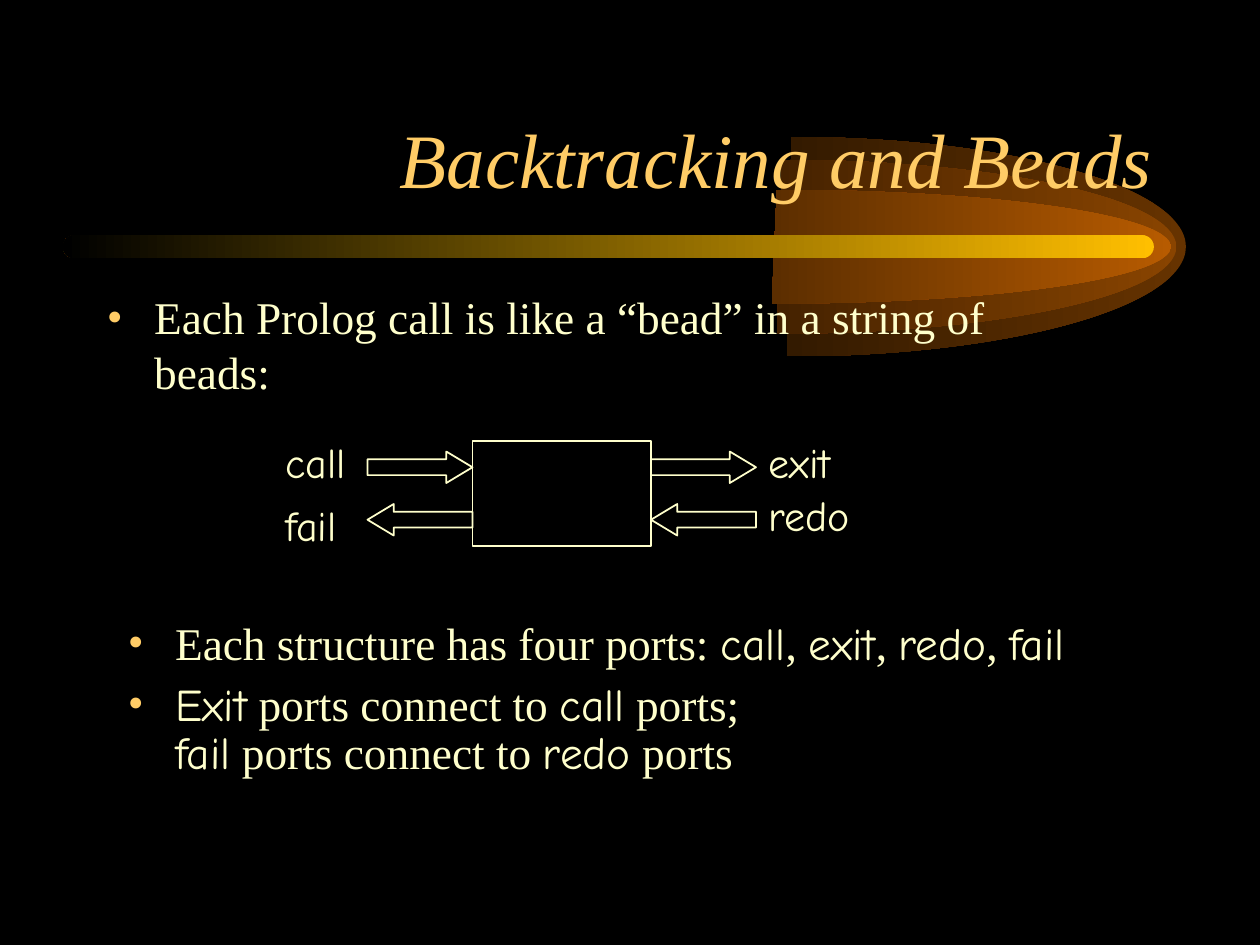
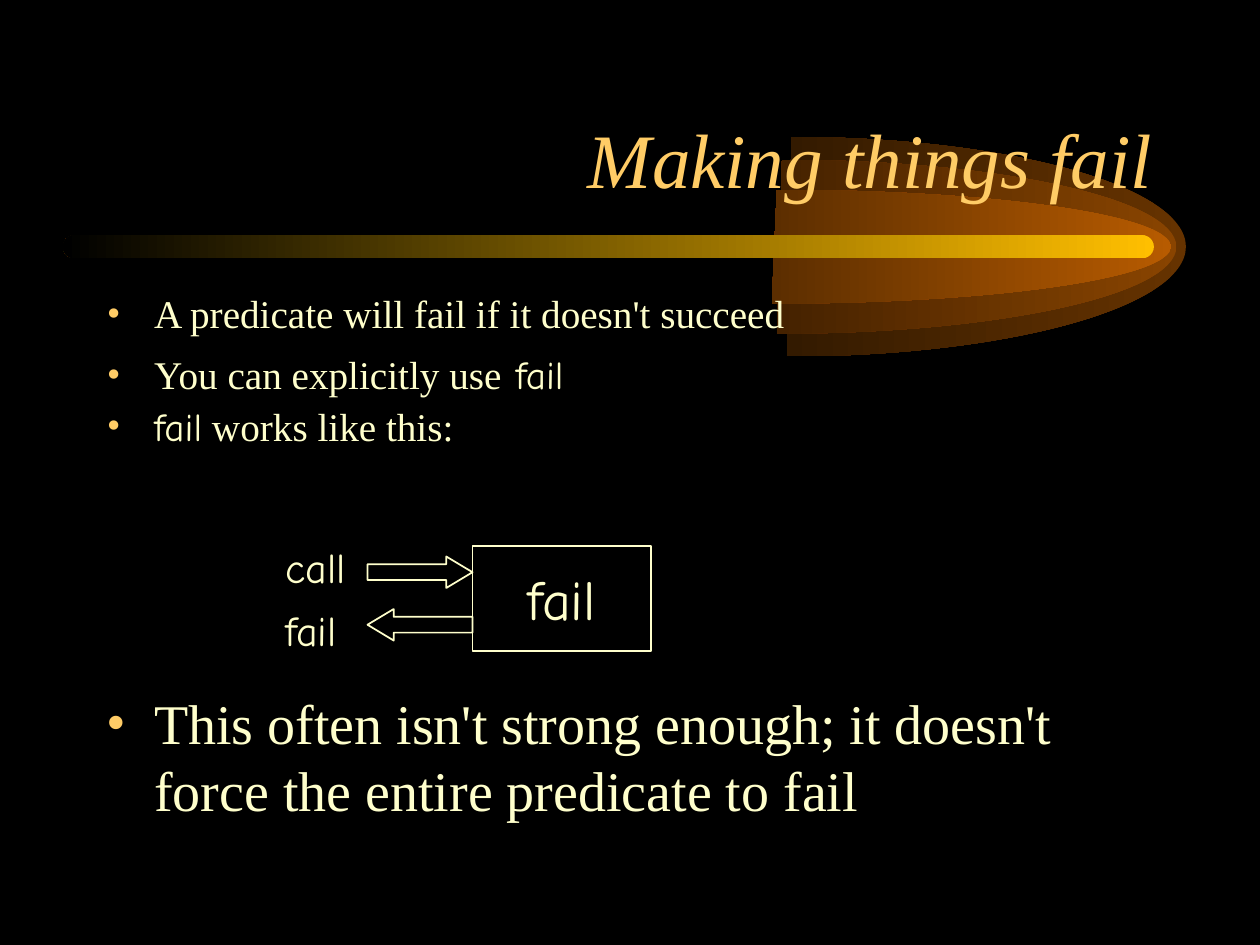
import pptx
import pptx.dml.color
import pptx.enum.shapes
import pptx.enum.text
import pptx.oxml
import pptx.oxml.ns
import pptx.util

COLUMNS, ROWS = 120, 90
CELL = pptx.util.Inches(10) / COLUMNS
BLACK, GOLD, AMBER, CREAM = "000000", "FFBF00", "FFCC66", "FFFFCC"
SERIF, HAND = "Times New Roman", "Comic Neue"
SHAPE = pptx.enum.shapes.MSO_SHAPE
ALIGN = pptx.enum.text.PP_ALIGN
ANCHOR = pptx.enum.text.MSO_ANCHOR
QUARTER_CURVE = 0.55
COMET_LAYERS = [
    (75.15, 10.45, "663300", "331A00"),
    (74.25, 8.28, "894400", "452200"),
    (73.75, 5.42, "B75B00", "5C2E00"),
]


def color(hex_string):
    """Turn a hex string into a colour."""
    return pptx.dml.color.RGBColor.from_string(hex_string)


def grid(*lengths):
    """Turn grid lengths into slide units."""
    return [pptx.util.Emu(round(length * CELL)) for length in lengths]


def add_run(paragraph, text, size, font=SERIF, ink=CREAM, italic=False):
    """Add one styled run to a paragraph."""
    run = paragraph.add_run()
    run.text = text
    run.font.size = pptx.util.Pt(size)
    run.font.name = font
    run.font.italic = italic
    run.font.color.rgb = color(ink)


def add_text_box(shapes, box):
    """Add a wrapping text box and return its text frame."""
    frame = shapes.add_textbox(*grid(*box)).text_frame
    frame.word_wrap = True
    return frame


def fill_gradient(shape, right, left):
    """Fill a shape without outline from its right colour to its left one."""
    shape.shadow.inherit = False
    shape.line.fill.background()
    shape.fill.gradient()
    shape.fill.gradient_angle = 180
    for stop, ink in zip(shape.fill.gradient_stops, (right, left)):
        stop.color.rgb = color(ink)


def add_outline(shapes, kind, box):
    """Add an unfilled preset shape with a thin cream line."""
    shape = shapes.add_shape(kind, *grid(*box))
    shape.shadow.inherit = False
    shape.fill.background()
    shape.line.color.rgb = color(CREAM)
    shape.line.width = pptx.util.Pt(1)
    return shape


def bend_lines(shape):
    """Turn each three lines of a freeform into one cubic curve."""
    lines = list(shape._element.iter(pptx.oxml.ns.qn("a:lnTo")))
    for start in range(0, len(lines), 3):
        curve = pptx.oxml.parse_xml(f'<a:cubicBezTo {pptx.oxml.ns.nsdecls("a")}/>')
        lines[start].addprevious(curve)
        for line in lines[start:start + 3]:
            curve.append(line[0])
            line.getparent().remove(line)


def add_half_ellipse(shapes, center, middle, reach, half_height, lean=0.24):
    """Draw the right half of an ellipse as two quarter curves."""
    across, up = QUARTER_CURVE * reach, QUARTER_CURVE * half_height
    top, bottom, tip = middle - half_height, middle + half_height, center + reach
    points = [
        (center + lean, top),
        (center + across, top), (tip, middle - up), (tip, middle),
        (tip, middle + up), (center + across, bottom), (center - lean, bottom),
    ]
    builder = shapes.build_freeform(*grid(*points[0]))
    builder.add_line_segments([grid(*point) for point in points[1:]], close=True)
    shape = builder.convert_to_shape()
    bend_lines(shape)
    return shape


def add_comet(slide, middle=23.5, reach=37.8):
    """Draw the layered half ellipses and the bar that runs into them."""
    shapes = slide.shapes.add_group_shape().shapes
    for center, half_height, right, left in COMET_LAYERS:
        layer = add_half_ellipse(shapes, center, middle, reach, half_height)
        fill_gradient(layer, right, left)
    bar = shapes.add_shape(SHAPE.ROUNDED_RECTANGLE, *grid(6, middle - 1.1, 103.9, 2.2))
    bar.adjustments[0] = 0.5
    fill_gradient(bar, GOLD, BLACK)


def add_title(slide, text, box=(9, 5, 102, 15)):
    """Write the slide title right-aligned above the bar."""
    frame = add_text_box(slide.shapes, box)
    frame.vertical_anchor = ANCHOR.BOTTOM
    paragraph = frame.paragraphs[0]
    paragraph.alignment = ALIGN.RIGHT
    add_run(paragraph, text, 44, ink=AMBER, italic=True)


def set_bullet(paragraph):
    """Give a paragraph a hanging amber bullet."""
    properties = paragraph._p.get_or_add_pPr()
    indent, = grid(4.5)
    properties.set("marL", str(indent))
    properties.set("indent", str(-indent))
    namespace = pptx.oxml.ns.nsdecls("a")
    for xml in (f'<a:buClr {namespace}><a:srgbClr val="{AMBER}"/></a:buClr>',
                f'<a:buFont {namespace} typeface="{SERIF}"/>',
                f'<a:buChar {namespace} char="•"/>'):
        properties.append(pptx.oxml.parse_xml(xml))


def add_bullets(slide, box, size, space, items):
    """Write bullets, each a line spacing and lines of (text, font) runs."""
    frame = add_text_box(slide.shapes, box)
    for index, (spacing, lines) in enumerate(items):
        paragraph = frame.add_paragraph() if index else frame.paragraphs[0]
        paragraph.space_before = pptx.util.Pt(space)
        paragraph.line_spacing = spacing
        set_bullet(paragraph)
        for line_index, runs in enumerate(lines):
            if line_index:
                paragraph.add_line_break()
            for text, font in runs:
                add_run(paragraph, text, size, font)


def add_port(shapes, kind, arrow_at, label, label_box):
    """Draw one port arrow and its label."""
    arrow = add_outline(shapes, kind, (*arrow_at, 10, 3))
    arrow.adjustments[0], arrow.adjustments[1] = 0.5, 0.833
    frame = add_text_box(shapes, label_box)
    frame.auto_size = pptx.enum.text.MSO_AUTO_SIZE.SHAPE_TO_FIT_TEXT
    frame.paragraphs[0].space_before = pptx.util.Pt(15)
    add_run(frame.paragraphs[0], label, 24, HAND)


def add_bead(slide, top, name=None, has_right_ports=True, left=45, width=17):
    """Draw a bead with its ports, placed from the top row of its box."""
    shapes = slide.shapes.add_group_shape().shapes
    bead = add_outline(shapes, SHAPE.RECTANGLE, (left, top, width, 10))
    if name:
        frame = bead.text_frame
        frame.word_wrap = False
        frame.vertical_anchor = ANCHOR.MIDDLE
        frame.paragraphs[0].alignment = ALIGN.CENTER
        add_run(frame.paragraphs[0], name, 32, HAND)
    near, far, right = left - 10, left - 19, left + width
    ports = [
        (SHAPE.RIGHT_ARROW, (near, top + 1), "call", (far, top - 1, 12, 6)),
        (SHAPE.LEFT_ARROW, (near, top + 6), "fail", (far, top + 5, 10, 6)),
    ]
    if has_right_ports:
        ports += [
            (SHAPE.RIGHT_ARROW, (right, top + 1), "exit", (right + 10, top - 1, 16, 6)),
            (SHAPE.LEFT_ARROW, (right, top + 6), "redo", (right + 10, top + 4, 11, 6)),
        ]
    for port in ports:
        add_port(shapes, *port)


def add_base_slide(presentation, title):
    """Add a blank slide with the comet and a title."""
    slide = presentation.slides.add_slide(presentation.slide_layouts[6])
    add_comet(slide)
    add_title(slide, title)
    return slide


def build_beads_slide(presentation):
    """Build the slide on the four ports of a bead."""
    slide = add_base_slide(presentation, "Backtracking and Beads")
    add_bullets(slide, (9, 27, 98, 12), 25.9, 7, [
        (1, [[("Each Prolog call is like a “bead” in a string of beads:", SERIF)]]),
    ])
    add_bead(slide, 42)
    add_bullets(slide, (11, 58, 109, 18), 25.9, 7, [
        (1, [[("Each structure has four ports: ", SERIF), ("call", HAND), (", ", SERIF),
              ("exit", HAND), (", ", SERIF), ("redo", HAND), (", ", SERIF), ("fail", HAND)]]),
        (0.9, [[("Exit", HAND), (" ports connect to ", SERIF), ("call", HAND), (" ports;", SERIF)],
               [("fail", HAND), (" ports connect to ", SERIF), ("redo", HAND), (" ports", SERIF)]]),
    ])


def build_fail_slide(presentation):
    """Build the slide on the fail predicate."""
    slide = add_base_slide(presentation, "Making things fail")
    add_bullets(slide, (9, 27, 104, 18), 22.4, 8, [
        (1, [[("A predicate will fail if it doesn't succeed", SERIF)]]),
        (1, [[("You can explicitly use", SERIF), (" fail", HAND)]]),
        (0.8, [[("fail", HAND), (" works like this:", SERIF)]]),
    ])
    add_bullets(slide, (9, 65, 102, 19), 32, 8, [
        (1, [[("This often isn't strong enough; it doesn't force the entire predicate to fail",
               SERIF)]]),
    ])
    add_bead(slide, 52, "fail", has_right_ports=False)


def main():
    """Build and save the presentation."""
    presentation = pptx.Presentation()
    presentation.slide_width, presentation.slide_height = grid(COLUMNS, ROWS)
    background = presentation.slide_master.background.fill
    background.solid()
    background.fore_color.rgb = color(BLACK)
    build_beads_slide(presentation)
    build_fail_slide(presentation)
    presentation.save("out.pptx")


if __name__ == "__main__":
    main()
